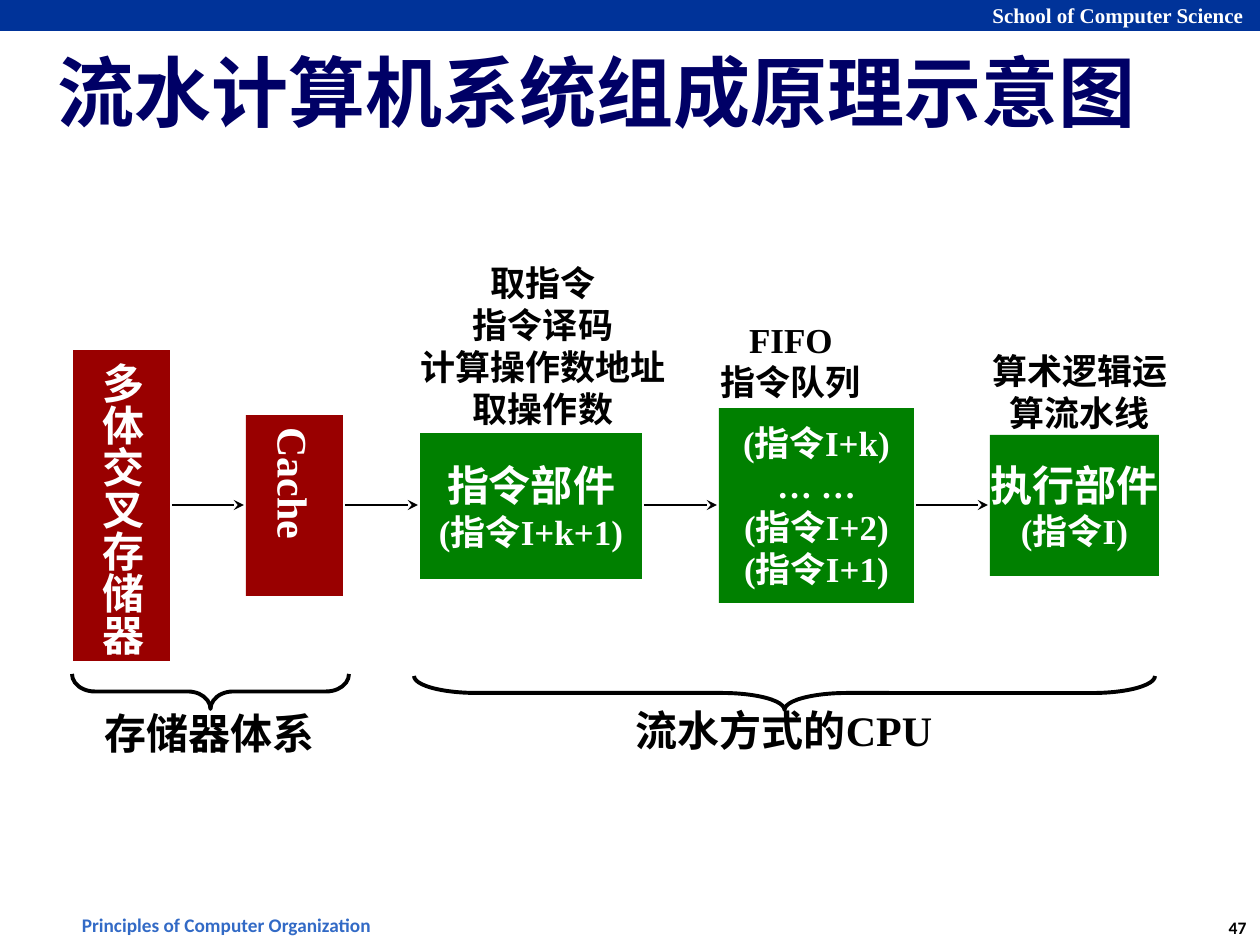
from lxml.etree import SubElement
from pptx import Presentation
from pptx.dml.color import RGBColor
from pptx.enum.shapes import MSO_CONNECTOR, MSO_SHAPE
from pptx.enum.text import MSO_ANCHOR, MSO_AUTO_SIZE, PP_ALIGN
from pptx.oxml.ns import qn
from pptx.util import Pt

EMU_PER_PX = 914400 / 126
COLORS = {
    "white": "FFFFFF", "black": "000000", "banner": "003399", "footer": "326AC6",
    "title": "000066", "memory": "990000", "cpu": "008000",
}
SERIF, SANS = "Times New Roman", "Calibri"


def px(*values):
    return [round(v * EMU_PER_PX) for v in values]


def rgb(name):
    return RGBColor.from_string(COLORS[name])


class Deck:
    def __init__(self, width, height):
        self.prs = Presentation()
        self.prs.slide_width, self.prs.slide_height = px(width, height)
        self.s = None

    def new_slide(self):
        self.s = self.prs.slides.add_slide(self.prs.slide_layouts[6])

    def set_lines(self, tf, lines, color, font=SERIF, align=PP_ALIGN.CENTER):
        """Fill a text frame from (text, point size) pairs."""
        for i, (text, size) in enumerate(lines):
            p = tf.add_paragraph() if i else tf.paragraphs[0]
            p.text = text
            p.alignment = align
            p.font.name, p.font.size, p.font.bold = font, Pt(size), True
            p.font.color.rgb = rgb(color)

    def label(self, box, lines, color="black", wrap=False, **style):
        tf = self.s.shapes.add_textbox(*px(*box)).text_frame
        tf.word_wrap = wrap
        tf.auto_size = MSO_AUTO_SIZE.SHAPE_TO_FIT_TEXT
        self.set_lines(tf, lines, color, **style)

    def title(self, box, text):
        tf = self.s.shapes.add_textbox(*px(*box)).text_frame
        tf.word_wrap = True
        tf.vertical_anchor = MSO_ANCHOR.MIDDLE
        inset, = px(5)
        tf.margin_left = tf.margin_right = tf.margin_top = tf.margin_bottom = inset
        self.set_lines(tf, [(text, 44)], "title", align=PP_ALIGN.LEFT)

    def block(self, box, fill, lines=(), vertical=False):
        sp = self.s.shapes.add_shape(MSO_SHAPE.RECTANGLE, *px(*box))
        sp.shadow.inherit = False
        sp.fill.solid()
        sp.fill.fore_color.rgb = rgb(fill)
        sp.line.fill.background()
        tf = sp.text_frame
        tf.word_wrap = False
        tf.vertical_anchor = MSO_ANCHOR.MIDDLE
        if vertical:
            tf._txBody.bodyPr.set("vert", "eaVert")
        self.set_lines(tf, lines, "white")

    def arrow(self, x1, x2, y):
        cn = self.s.shapes.add_connector(MSO_CONNECTOR.STRAIGHT, *px(x1, y, x2, y))
        cn.line.color.rgb = rgb("black")
        cn.line.width = Pt(1.5)
        SubElement(cn.line._get_or_add_ln(), qn("a:tailEnd"), type="stealth")
        SubElement(cn._element.spPr, qn("a:effectLst"))

    def brace_below(self, x, y, w, h, curve):
        """A right brace turned to point down, filling the given box."""
        box = (x + (w - h) / 2, y + (h - w) / 2, h, w)
        sp = self.s.shapes.add_shape(MSO_SHAPE.RIGHT_BRACE, *px(*box))
        sp.rotation = 90
        sp.adjustments[0], sp.adjustments[1] = curve, 0.5
        sp.shadow.inherit = False
        sp.fill.background()
        sp.line.color.rgb = rgb("black")
        sp.line.width = Pt(2.25)


def main():
    deck = Deck(1260, 945)
    deck.new_slide()

    # Banner, footer and title
    deck.block((0, 0, 1260, 31), "banner")
    deck.label((980, -4, 278, 38), [("School of Computer Science", 12)], "white",
               align=PP_ALIGN.LEFT)
    deck.label((65, 907, 323, 36), [("Principles of Computer Organization", 11)],
               "footer", font=SANS)
    deck.label((1214, 911, 47, 34), [("47", 10)], font=SANS)
    deck.title((53, 35, 1155, 112), "流水计算机系统组成原理示意图")

    # Memory and pipeline blocks, from left to right
    blocks = [
        ((73, 350, 97, 311), "memory", [("多体交叉存储器", 24)], True),
        ((246, 415, 97, 181), "memory", [("Cache", 24)], True),
        ((420, 433, 222, 146), "cpu", [("指令部件", 24), ("(指令I+k+1)", 20)], False),
        ((719, 408, 195, 195), "cpu",
         [(t, 20) for t in ("(指令I+k)", "… …", "(指令I+2)", "(指令I+1)")], False),
        ((990, 435, 169, 141), "cpu", [("执行部件", 24), ("(指令I)", 20)], False),
    ]
    for block in blocks:
        deck.block(*block)

    # An arrow in each gap between neighbours
    for (left, *_), (right, *_) in zip(blocks, blocks[1:]):
        deck.arrow(left[0] + left[2] + 2, right[0] - 2, 505)

    # Captions above the pipeline blocks
    for box, lines in [
        ((407, 255, 272, 180), ("取指令", "指令译码", "计算操作数地址", "取操作数")),
        ((708, 312, 166, 97), ("FIFO", "指令队列")),
        ((979, 343, 202, 97), ("算术逻辑运", "算流水线")),
    ]:
        deck.label(box, [(line, 20) for line in lines])

    # Braces and the names of the two groups
    deck.brace_below(72, 674, 277, 35, 0.65)
    deck.brace_below(414, 676, 741, 34, 1.84)
    deck.label((91, 701, 237, 63), [("存储器体系", 24)])
    deck.label((621, 698, 326, 63), [("流水方式的CPU", 24)], wrap=True)

    deck.prs.save("out.pptx")


if __name__ == "__main__":
    main()
